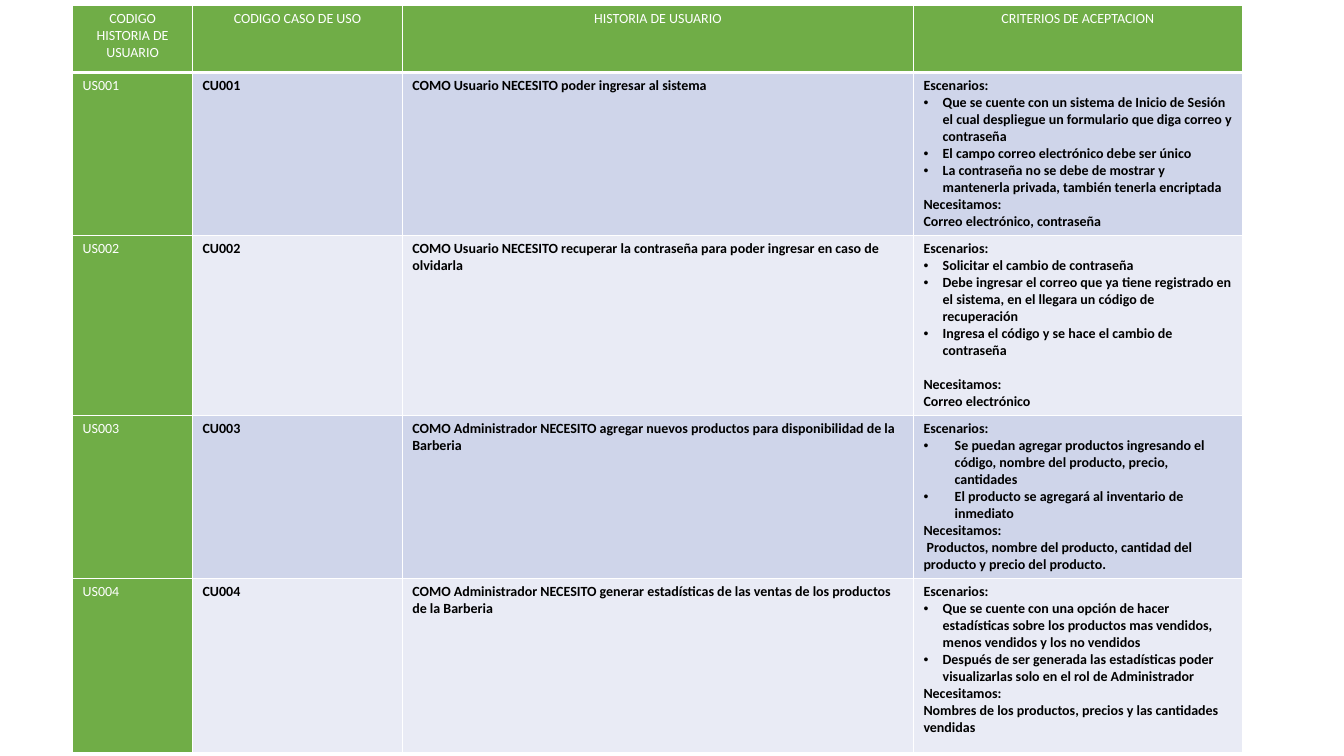
from lxml.etree import SubElement
from pptx import Presentation
from pptx.dml.color import RGBColor
from pptx.enum.text import PP_ALIGN as Align
from pptx.oxml.ns import qn
from pptx.util import Inches, Pt

HEADERS = [
    "CODIGO HISTORIA DE USUARIO",
    "CODIGO CASO DE USO",
    "HISTORIA DE USUARIO",
    "CRITERIOS DE ACEPTACION",
]
COLUMN_WIDTHS = [1.19, 2.08, 5.07, 3.26]
ROW_HEIGHTS = [0.67, 1.57, 1.57, 1.57, 1.73]
STORIES = [
    {
        "story": "COMO Usuario NECESITO poder ingresar al sistema",
        "scenarios": [
            "Que se cuente con un sistema de Inicio de Sesión el cual despliegue un formulario que diga correo y contraseña",
            "El campo correo electrónico debe ser único",
            "La contraseña no se debe de mostrar y mantenerla privada, también tenerla encriptada",
        ],
        "needs": "Correo electrónico, contraseña",
    },
    {
        "story": "COMO Usuario NECESITO recuperar la contraseña para poder ingresar en caso de olvidarla",
        "scenarios": [
            "Solicitar el cambio de contraseña",
            "Debe ingresar el correo que ya tiene registrado en el sistema, en el llegara un código de recuperación",
            "Ingresa el código y se hace el cambio de contraseña",
        ],
        "needs": "Correo electrónico",
        "gap": 12,
    },
    {
        "story": "COMO Administrador NECESITO agregar nuevos productos para disponibilidad de la Barberia",
        "scenarios": [
            "Se puedan agregar productos ingresando el código, nombre del producto, precio, cantidades",
            "El producto se agregará al inventario de inmediato",
        ],
        "needs": " Productos, nombre del producto, cantidad del producto y precio del producto.",
        "indent": 0.31,
    },
    {
        "story": "COMO Administrador NECESITO generar estadísticas de las ventas de los productos de la Barberia",
        "scenarios": [
            "Que se cuente con una opción de hacer estadísticas sobre los productos mas vendidos, menos vendidos y los no vendidos",
            "Después de ser generada las estadísticas poder visualizarlas solo en el rol de Administrador",
        ],
        "needs": "Nombres de los productos, precios y las cantidades vendidas",
    },
]


def color(value):
    return RGBColor.from_string(value)


class StorySlide:
    font = "Calibri"
    size = 10
    green = "70AD47"
    white = "FFFFFF"
    black = "000000"
    bands = ["CFD5EA", "E9EBF5"]

    def __init__(self, deck):
        self.page = deck.slides.add_slide(deck.slide_layouts[6])

    def table(self, left, top, widths, heights):
        frame = self.page.shapes.add_table(
            len(heights), len(widths), Inches(left), Inches(top),
            Inches(sum(widths)), Inches(sum(heights)))
        table = frame.table
        table.first_row = table.horz_banding = False
        for column, width in zip(table.columns, widths):
            column.width = Inches(width)
        for row, height in zip(table.rows, heights):
            row.height = Inches(height)
        return table

    def borders(self, cell, bottom):
        properties = cell._tc.get_or_add_tcPr()
        for side, width in (("L", 1), ("R", 1), ("T", 1), ("B", bottom)):
            line = SubElement(properties, qn(f"a:ln{side}"), w=str(Pt(width)))
            fill = SubElement(line, qn("a:solidFill"))
            SubElement(fill, qn("a:srgbClr"), val=self.white)

    def cell(self, cell, lines, fill, ink, bold=False, align=Align.LEFT, bottom=1):
        self.borders(cell, bottom)
        cell.fill.solid()
        cell.fill.fore_color.rgb = color(fill)
        cell.text_frame.text = "\n".join(lines)
        for para in cell.text_frame.paragraphs:
            para.alignment = align
            for span in para.runs:
                span.font.name = self.font
                span.font.size = Pt(self.size)
                span.font.bold = bold
                span.font.color.rgb = color(ink)

    def bullet(self, para, indent):
        properties = para._p.get_or_add_pPr()
        properties.set("marL", str(Inches(indent)))
        properties.set("indent", str(-Inches(indent)))
        SubElement(properties, qn("a:buFont"), typeface="Arial")
        SubElement(properties, qn("a:buChar"), char="•")

    def header(self, cells, titles):
        for cell, title in zip(cells, titles):
            self.cell(cell, [title], self.green, self.white, align=Align.CENTER, bottom=3)

    def story(self, cells, number, entry):
        band = self.bands[(number - 1) % 2]
        scenarios = entry["scenarios"]
        criteria = ["Escenarios:", *scenarios, "Necesitamos:", entry["needs"]]
        code, use_case, story, acceptance = cells
        self.cell(code, [f"US{number:03}"], self.green, self.white)
        self.cell(use_case, [f"CU{number:03}"], band, self.black, bold=True)
        self.cell(story, [entry["story"]], band, self.black, bold=True)
        self.cell(acceptance, criteria, band, self.black, bold=True)
        paragraphs = acceptance.text_frame.paragraphs
        for para in paragraphs[1:len(scenarios) + 1]:
            self.bullet(para, entry.get("indent", 0.19))
        if "gap" in entry:
            paragraphs[-2].space_before = Pt(entry["gap"])


def main():
    deck = Presentation()
    deck.slide_width, deck.slide_height = Inches(13.33), Inches(7.5)
    slide = StorySlide(deck)
    table = slide.table(0.72, 0.05, COLUMN_WIDTHS, ROW_HEIGHTS)
    header, *rows = table.rows
    slide.header(header.cells, HEADERS)
    for number, (row, entry) in enumerate(zip(rows, STORIES), 1):
        slide.story(row.cells, number, entry)
    deck.save("out.pptx")


if __name__ == "__main__":
    main()
